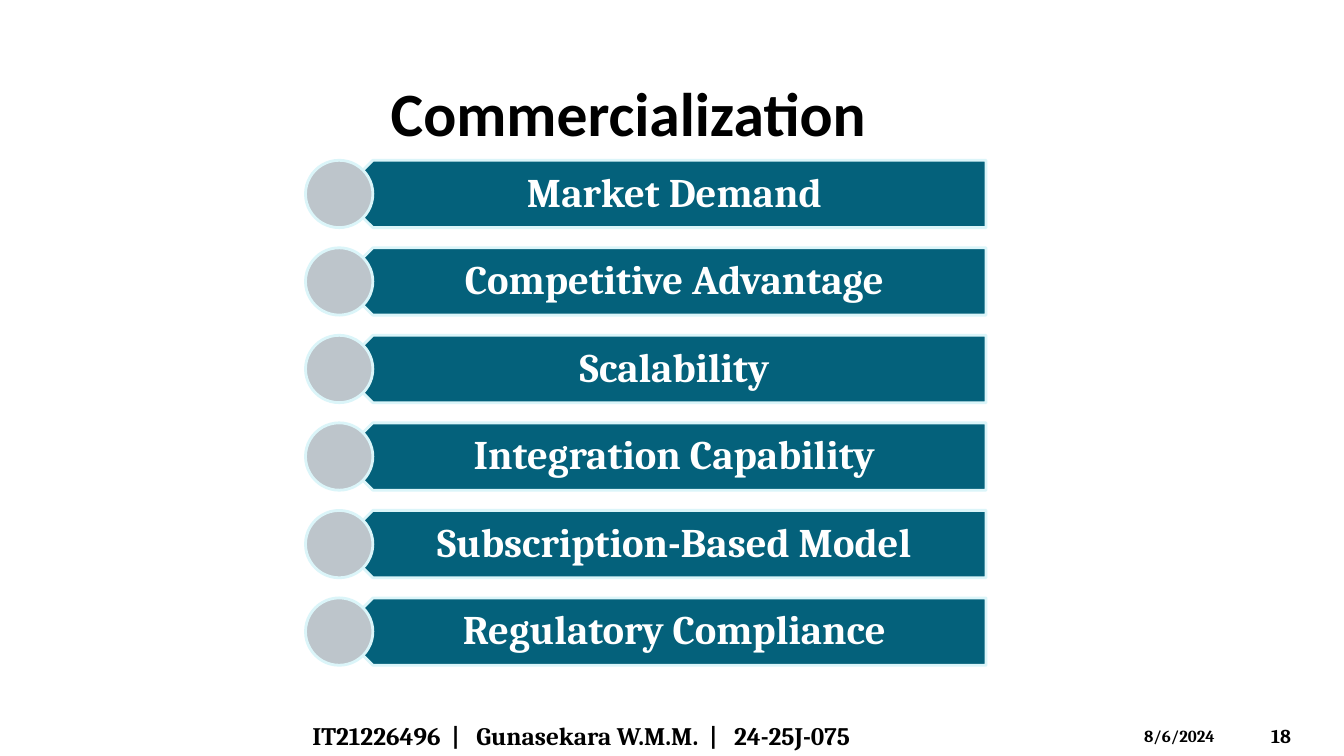
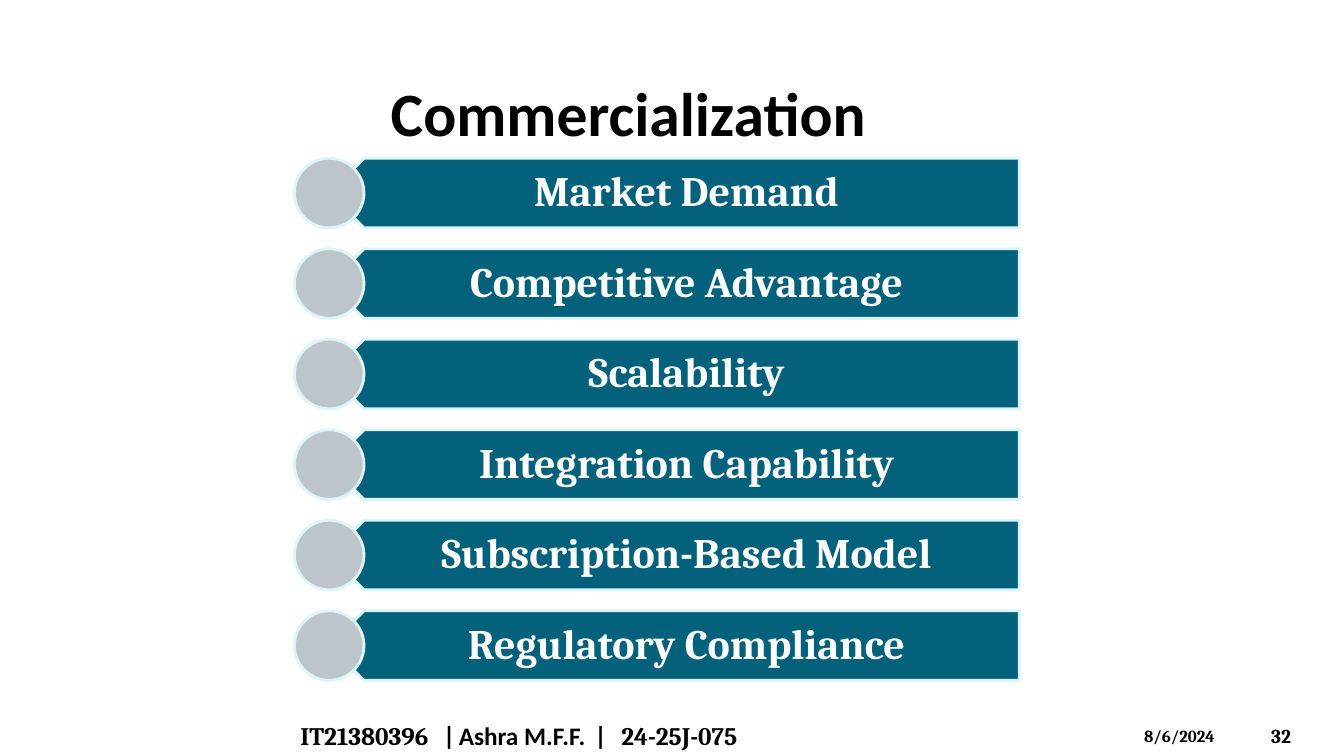
from pptx import Presentation
from pptx.dml.color import RGBColor as RGB
from pptx.enum.shapes import MSO_SHAPE as Shape
from pptx.enum.text import MSO_ANCHOR as Anchor, PP_ALIGN as Align
from pptx.util import Inches, Pt

COLORS = {"ink": "000000", "paper": "FFFFFF", "bar": "04617B",
          "dot": "BDC5CB", "edge": "DBF5F9"}
HEAD, BODY = "Calibri", "Cambria"
TOPICS = ["Market Demand", "Competitive Advantage", "Scalability",
          "Integration Capability", "Subscription-Based Model",
          "Regulatory Compliance"]
SLIDES = [
    {"number": "18", "left": 3, "size": 29, "box": (3.03, 1.59, 6.75, 5.01),
     "author": [("IT21226496  |   Gunasekara W.M.M.  |   24-25J-075", BODY)]},
    {"number": "32", "left": 2.88, "size": 30, "box": (2.92, 1.57, 7.19, 5.18),
     "author": [("IT21380396   | ", BODY), ("Ashra M.F.F.", HEAD),
                ("  |   24-25J-075", BODY)]},
]


def color(name):
    return RGB.from_string(COLORS[name])


def write(slide, runs, box, size, ink="ink", align=Align.LEFT,
          pad=(0.1, 0.05, 0.1, 0.05), spacing=1.0):
    """Add a bold, middle-anchored text box; runs are (text, font) pairs."""
    frame = slide.shapes.add_textbox(*map(Inches, box)).text_frame
    frame.word_wrap = True
    frame.vertical_anchor = Anchor.MIDDLE
    (frame.margin_left, frame.margin_top,
     frame.margin_right, frame.margin_bottom) = map(Inches, pad)
    para = frame.paragraphs[0]
    para.alignment = align
    para.line_spacing = spacing
    for text, face in runs:
        run = para.add_run()
        run.text = text
        font = run.font
        font.name, font.size, font.bold = face, Pt(size), True
        font.color.rgb = color(ink)


def draw(slide, kind, box, fill):
    shape = slide.shapes.add_shape(kind, *map(Inches, box))
    shape.shadow.inherit = False
    shape.fill.solid()
    shape.fill.fore_color.rgb = color(fill)
    shape.line.color.rgb = color("edge")
    shape.line.width = Pt(2)
    return shape


def add_list(slide, box, size):
    """Fill the box with bars, each led by a dot; gaps are 0.3 of a bar."""
    left, top, width, height = box
    step = 1.3
    bar = height / (step * (len(TOPICS) - 1) + 1)
    for row, topic in enumerate(TOPICS):
        y = top + row * step * bar
        plate = draw(slide, Shape.PENTAGON,
                     (left + bar / 2, y, width - bar / 2, bar), "bar")
        plate.rotation = 180
        write(slide, [(topic, BODY)],
              (left + 0.75 * bar, y, width - 0.75 * bar, bar), size,
              ink="paper", align=Align.CENTER,
              pad=(0.3, 0.12, 0.23, 0.12), spacing=0.9)
        draw(slide, Shape.OVAL, (left, y, bar, bar), "dot")


def add_footer(slide, author, left, number):
    top, height = 7.1, 0.4
    write(slide, author, (left, top, 7.45, height), 18)
    write(slide, [("8/6/2024", BODY)], (11.25, top, 1.17, height), 12)
    write(slide, [(number, BODY)], (12.51, top, 0.74, height), 14)


def add_slide(deck, number, left, size, box, author):
    slide = deck.slides.add_slide(deck.slide_layouts[6])
    write(slide, [("Commercialization", HEAD)], (3.53, 0.48, 5.41, 1.25), 44,
          align=Align.CENTER)
    add_list(slide, box, size)
    add_footer(slide, author, left, number)


def main():
    deck = Presentation()
    deck.slide_width, deck.slide_height = Inches(13.33), Inches(7.5)
    for page in SLIDES:
        add_slide(deck, **page)
    deck.save("out.pptx")


if __name__ == "__main__":
    main()
